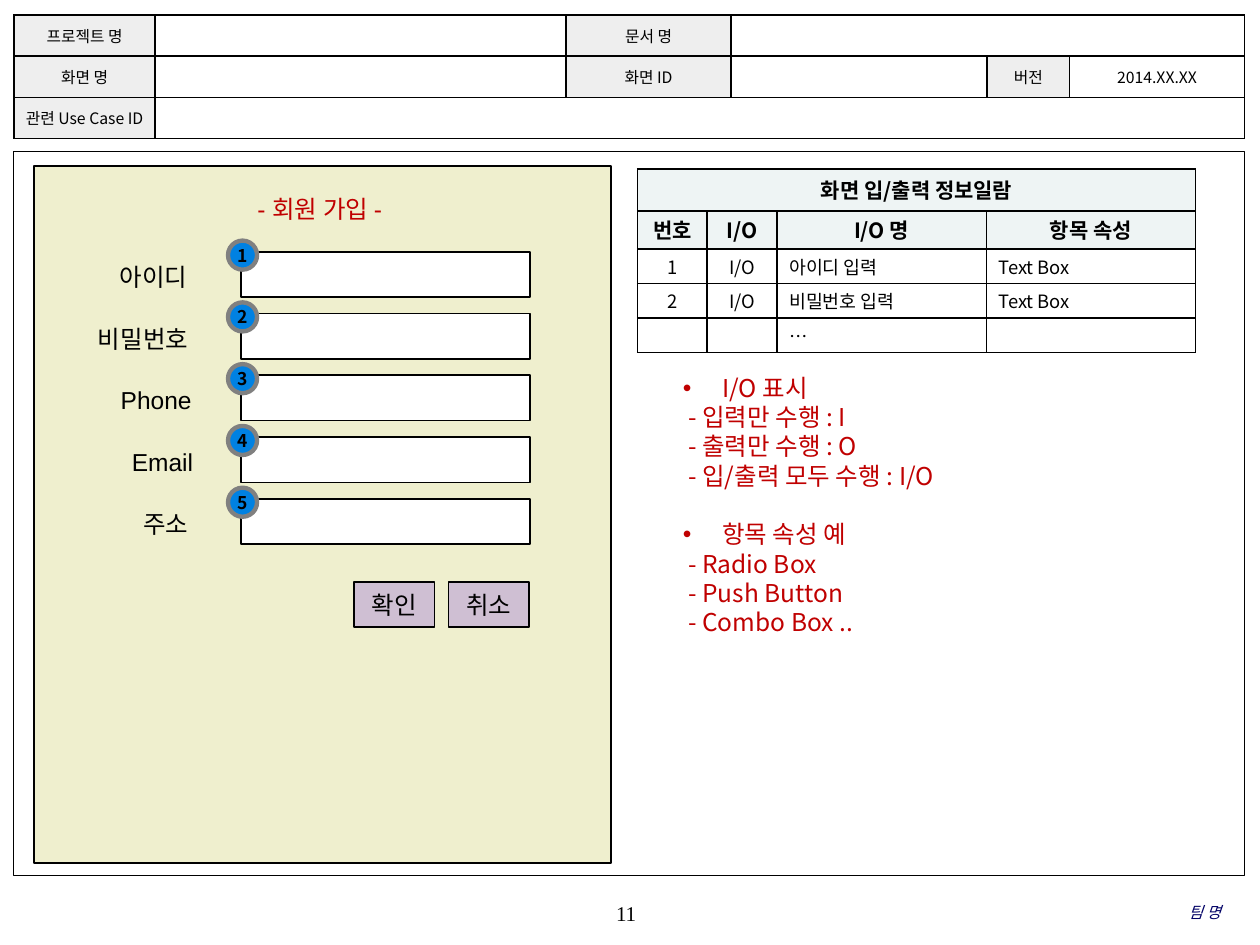
import collections
import dataclasses

import lxml.etree
import pptx
import pptx.dml.color
import pptx.enum.shapes
import pptx.enum.text
import pptx.oxml.ns
import pptx.util

Pt = pptx.util.Pt
qn = pptx.oxml.ns.qn
ALIGN = pptx.enum.text.PP_ALIGN
ANCHOR = pptx.enum.text.MSO_ANCHOR
SHAPE = pptx.enum.shapes.MSO_SHAPE
Box = collections.namedtuple("Box", "left top width height")


@dataclasses.dataclass(frozen=True)
class Theme:
    black: str = "000000"
    white: str = "FFFFFF"
    panel: str = "EFEFCE"
    button: str = "CFBFD3"
    badge: str = "0081E2"
    ring: str = "808080"
    accent: str = "C00000"
    team: str = "000066"
    label_fill: str = "EEEEEE"
    heading_fill: str = "EEF4F4"
    korean: str = "Noto Sans CJK KR"
    form: str = "Arial"
    footer: str = "Times New Roman"
    large: float = 14
    heading: float = 12
    cell: float = 10.5
    badge_size: float = 10
    small: float = 9


THEME = Theme()


def rgb(value):
    return pptx.dml.color.RGBColor.from_string(value)


def inside(box, left, top, width, height):
    return Box(box.left + left, box.top + top, width, height)


def write(para, text, size=THEME.large, font=THEME.korean, color=THEME.black,
          bold=False, italic=False, align=ALIGN.LEFT):
    para.alignment = align
    span = para.add_run()
    span.text = text
    span.font.size, span.font.name = Pt(size), font
    span.font.bold, span.font.italic = bold, italic
    span.font.color.rgb = rgb(color)
    latin = span.font._element.find(qn("a:latin"))
    east_asian = lxml.etree.Element(qn("a:ea"), typeface=THEME.korean)
    latin.addnext(east_asian)


def set_frame(frame, margins, anchor=ANCHOR.TOP, wrap=True):
    frame.auto_size = pptx.enum.text.MSO_AUTO_SIZE.NONE
    frame.word_wrap, frame.vertical_anchor = wrap, anchor
    (frame.margin_left, frame.margin_top,
     frame.margin_right, frame.margin_bottom) = map(Pt, margins)


def add_text(page, box, text, margins=(0, 0, 0, 0), anchor=ANCHOR.MIDDLE, **style):
    frame = page.shapes.add_textbox(*map(Pt, box)).text_frame
    set_frame(frame, margins, anchor)
    write(frame.paragraphs[0], text, **style)


def add_box(page, box, fill=None, line=THEME.black, weight=1, kind=SHAPE.RECTANGLE,
            text=None, **style):
    shape = page.shapes.add_shape(kind, *map(Pt, box))
    shape.shadow.inherit = False
    if fill:
        shape.fill.solid()
        shape.fill.fore_color.rgb = rgb(fill)
    else:
        shape.fill.background()
    shape.line.color.rgb, shape.line.width = rgb(line), Pt(weight)
    if text:
        set_frame(shape.text_frame, (7.2, 3.6, 7.2, 3.6), ANCHOR.MIDDLE, wrap=False)
        write(shape.text_frame.paragraphs[0], text, align=ALIGN.CENTER, **style)


def place(shape, box):
    shape.left, shape.top, shape.width, shape.height = map(Pt, box)


def add_grid(page, box, widths, heights, merges):
    frame = page.shapes.add_table(len(heights), len(widths), *map(Pt, box))
    table = frame.table
    table.first_row = table.horz_banding = False
    for column, width in zip(table.columns, widths):
        column.width = Pt(width)
    for row, height in zip(table.rows, heights):
        row.height = Pt(height)
    for row, first, last in merges:
        table.cell(row, first).merge(table.cell(row, last))
    return table


def fill_cell(cell, text, fill, side_margin, size, **style):
    cell.margin_left = cell.margin_right = Pt(side_margin)
    cell.margin_top = cell.margin_bottom = Pt(1.44)
    cell.vertical_anchor = ANCHOR.MIDDLE
    para = cell.text_frame.paragraphs[0]
    if text:
        write(para, text, size=size, **style)
    else:
        lxml.etree.SubElement(para._p, qn("a:endParaRPr"), sz=str(int(size * 100)))
    properties = cell._tc.get_or_add_tcPr()
    for side in ("lnL", "lnR", "lnT", "lnB"):
        border = lxml.etree.SubElement(properties, qn("a:" + side), w=str(Pt(1)))
        solid = lxml.etree.SubElement(border, qn("a:solidFill"))
        lxml.etree.SubElement(solid, qn("a:srgbClr"), val=THEME.black)
    cell.fill.solid()
    cell.fill.fore_color.rgb = rgb(fill)


def add_document_header(page, box):
    rows = [
        ["프로젝트 명", "", "문서 명", "", "", ""],
        ["화면 명", "", "화면 ID", "", "버전", "2014.XX.XX"],
        ["관련 Use Case ID", "", "", "", "", ""],
    ]
    table = add_grid(page, box, [80.8, 234.8, 94.2, 146.4, 47, 100.2],
                     [box.height / 3] * 3, [(0, 3, 5), (2, 1, 5)])
    for r, row in enumerate(rows):
        for c, text in enumerate(row):
            fill = THEME.label_fill if text and c % 2 == 0 else THEME.white
            fill_cell(table.cell(r, c), text, fill, 2.88, THEME.small, align=ALIGN.CENTER)


def add_signup_form(page, box):
    add_box(page, box, THEME.panel)
    title = page.shapes.title
    title.element.getparent().append(title.element)
    place(title, inside(box, 116.6, 12.2, 130, 23))
    set_frame(title.text_frame, (7.2, 3.6, 7.2, 3.6))
    write(title.text_frame.paragraphs[0], " - 회원 가입 -", font=THEME.form,
          color=THEME.accent)
    fields = [("아이디", 41.8, 57), ("비밀번호", 29.5, 71.3), ("Phone", 42.5, 55.4),
              ("Email", 48.8, 49.7), ("주소", 55.4, 42.5)]
    for i, (label, left, width) in enumerate(fields):
        offset = 35.3 * i
        add_box(page, inside(box, 118.5, 48.9 + offset, 164.9, 25.9), THEME.white)
        add_text(page, inside(box, left, 51.1 + offset, width, 23), label,
                 margins=(7.2, 3.6, 0, 3.6), anchor=ANCHOR.TOP, font=THEME.form)
        add_box(page, inside(box, 110.9, 42.5 + offset, 16.6, 16.6), THEME.badge,
                THEME.ring, 2.5, SHAPE.OVAL, str(i + 1), size=THEME.badge_size, bold=True)
    for i, label in enumerate(["확인", "취소"]):
        add_box(page, inside(box, 182.9 + 54 * i, 237.6, 46.1, 25.9), THEME.button,
                text=label, font=THEME.form)


def add_field_table(page, box):
    rows = [
        ["화면 입/출력 정보일람", "", "", ""],
        ["번호", "I/O", "I/O 명", "항목 속성"],
        ["1", "I/O", "아이디 입력", "Text Box"],
        ["2", "I/O", "비밀번호 입력", "Text Box"],
        ["", "", "…", ""],
    ]
    table = add_grid(page, box, [39.8, 39.8, 119.7, 119.7], [24, 21.7, 19.8, 19.8, 19.8],
                     [(0, 0, 3)])
    for r, row in enumerate(rows):
        heading = r < 2
        for c, text in enumerate(row):
            fill_cell(table.cell(r, c), text,
                      THEME.heading_fill if heading else THEME.white, 7.2,
                      THEME.heading if heading else THEME.cell, bold=heading,
                      align=ALIGN.CENTER if heading or c < 2 else ALIGN.LEFT)


def add_notes_list(page, box):
    groups = [
        ("I/O 표시", ["입력만 수행 : I", "출력만 수행 : O", "입/출력 모두 수행 : I/O"]),
        ("항목 속성 예", ["Radio Box", "Push Button", "Combo Box .."]),
    ]
    lines = []
    for heading, items in groups:
        lines += [(heading, True)] + [(" - " + item, False) for item in items]
    body = page.placeholders[1]
    place(body, box)
    frame = body.text_frame
    set_frame(frame, (7.2, 3.6, 7.2, 3.6))
    for i, (text, heading) in enumerate(lines):
        para = frame.add_paragraph() if i else frame.paragraphs[0]
        write(para, text, color=THEME.accent)
        para.line_spacing = Pt(16.75)
        para.space_before = Pt(16.75 if heading and i else 0)
        para.space_after = Pt(0)
        properties = para._p.get_or_add_pPr()
        indent = Pt(22.5) if heading else 0
        properties.set("marL", str(indent))
        properties.set("indent", str(-indent))
        if heading:
            lxml.etree.SubElement(properties, qn("a:buChar"), char="•")
        else:
            lxml.etree.SubElement(properties, qn("a:buNone"))


def add_footer(page, box):
    add_text(page, inside(box, 275, 0, 149.8, 23.8), "11", size=THEME.heading,
             font=THEME.footer, align=ALIGN.CENTER)
    add_text(page, inside(box, 469.4, -0.7, 220.3, 23.8), "팀 명", size=THEME.small,
             font=THEME.footer, color=THEME.team, italic=True, align=ALIGN.RIGHT)


def main():
    deck = pptx.Presentation()
    deck.slide_width, deck.slide_height = Pt(720), Pt(540)
    page = deck.slides.add_slide(deck.slide_layouts[1])
    add_box(page, Box(7.9, 86.4, 703.4, 414), weight=0.75)
    add_footer(page, Box(7.9, 509.8, 703.4, 23.8))
    add_signup_form(page, Box(19.4, 95, 329.8, 398.2))
    add_field_table(page, Box(364.3, 96.5, 319, 105.1))
    add_notes_list(page, Box(383, 209.5, 184, 177.1))
    add_document_header(page, Box(7.9, 8.6, 703.4, 70.5))
    deck.save("out.pptx")


main()
